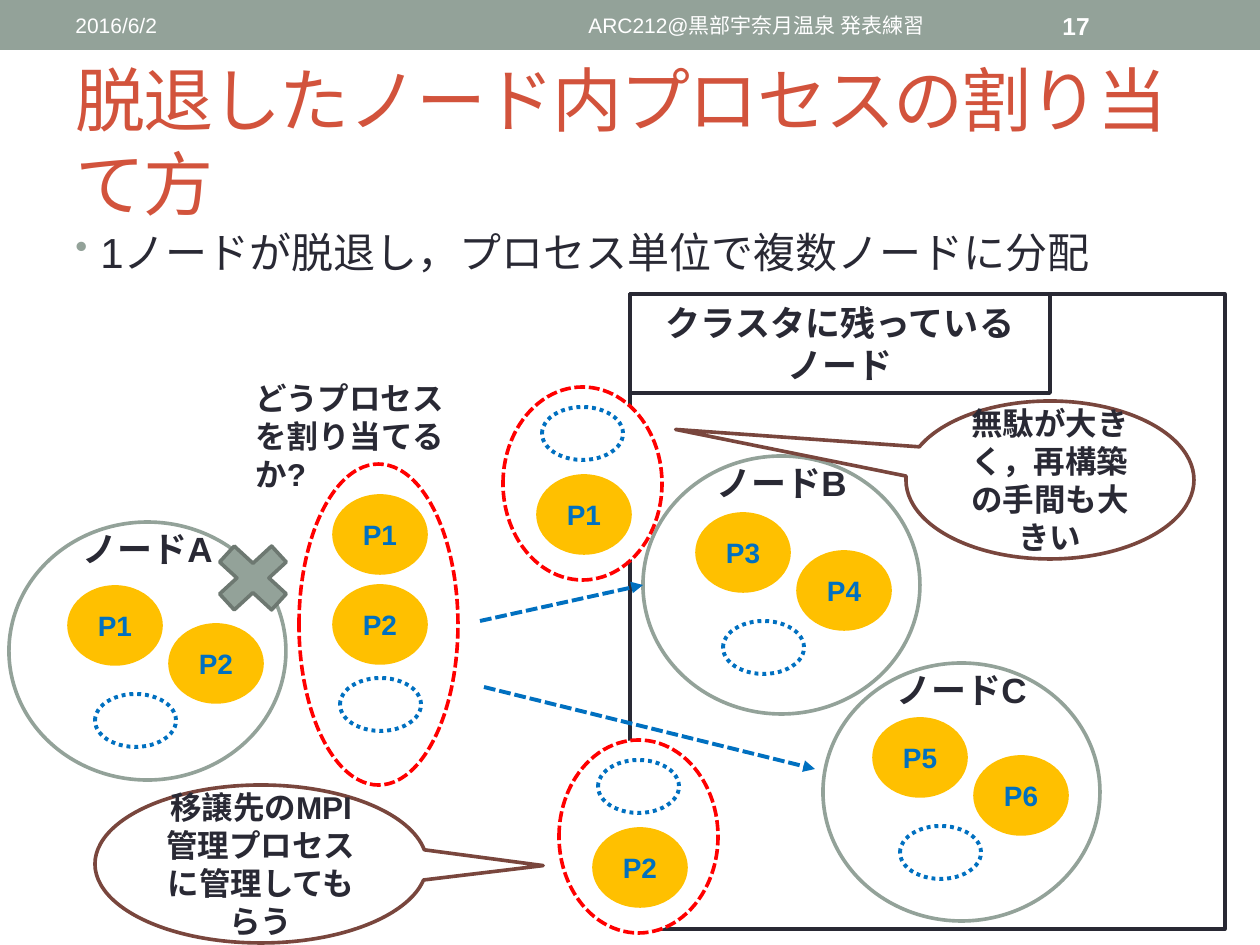
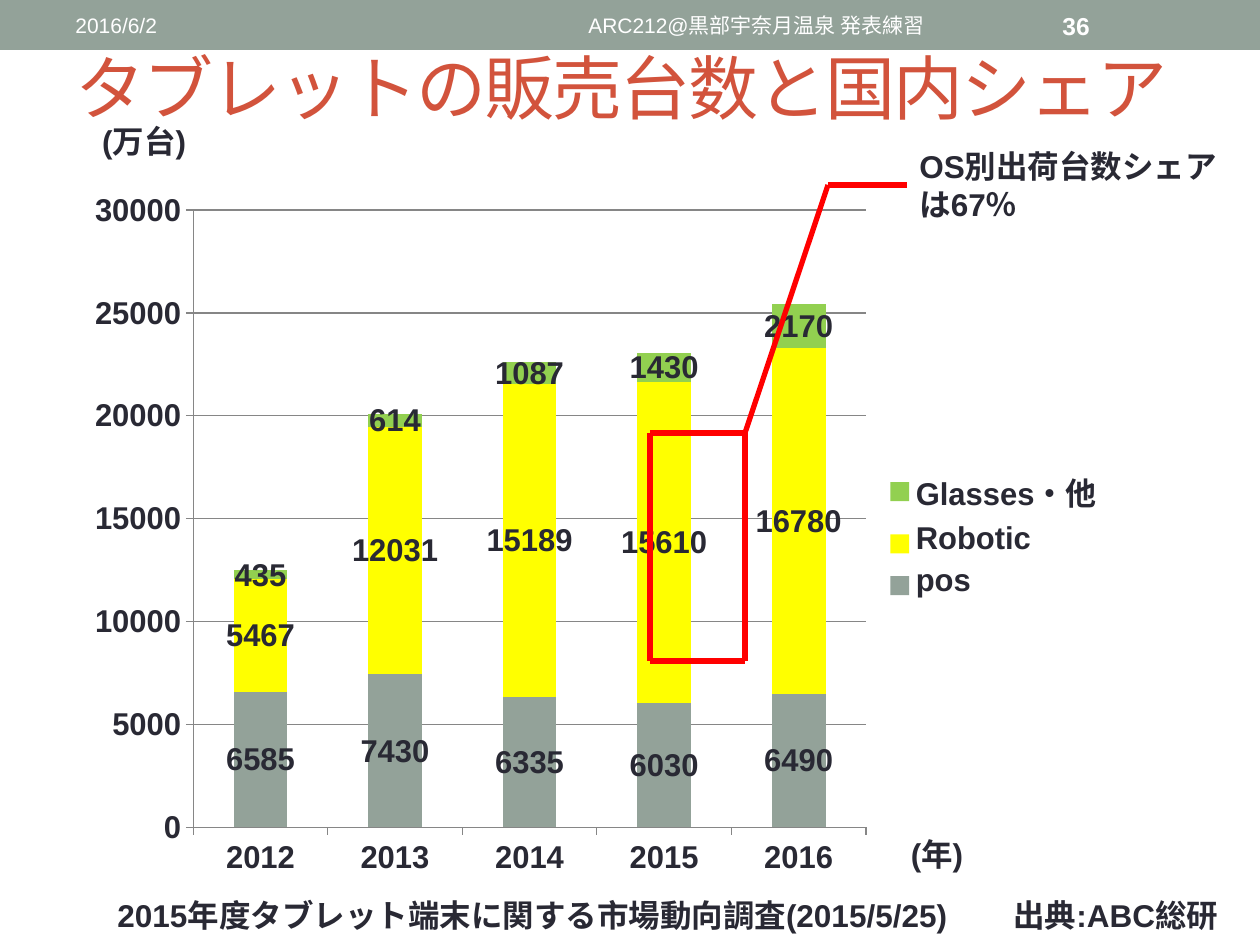
from dataclasses import dataclass
from lxml.etree import SubElement
from pptx import Presentation
from pptx.chart.data import CategoryChartData
from pptx.dml.color import RGBColor
from pptx.enum.chart import XL_CHART_TYPE as Kind, XL_LABEL_POSITION as Spot
from pptx.enum.chart import XL_LEGEND_POSITION as Side, XL_TICK_MARK as Tick
from pptx.enum.dml import MSO_LINE as Dash
from pptx.enum.shapes import MSO_CONNECTOR as Link, MSO_SHAPE as Form
from pptx.enum.text import MSO_ANCHOR as Anchor, PP_ALIGN as Align
from pptx.oxml.ns import qn
from pptx.util import Emu, Pt

SCALE = 914400 / 126
FONT = "Arial"
INK, SAGE, RUST, WHITE = "292934", "93A299", "D2533C", "FFFFFF"
BLUE, GOLD, RED, BROWN = "0070C0", "FFC000", "FF0000", "79463D"
MOSS, GREY, YELLOW, GREEN = "6D7871", "868686", "FFFF00", "92D050"
EDGE = 2.08


@dataclass
class Node:
    name: str
    x: int
    y: int
    dot: tuple[int, int]
    procs: tuple[str, str]


@dataclass
class Group:
    x: int
    y: int
    high: int
    procs: list[tuple[str, int]]
    slot: tuple[int, int]


@dataclass
class Series:
    name: str
    tint: str
    vals: list[int]


NODES = [
    Node("ノードA", 9, 522, (69, 587), ("P1", "P2")),
    Node("ノードB", 643, 456, (697, 514), ("P3", "P4")),
    Node("ノードC", 823, 663, (874, 719), ("P5", "P6")),
]
GROUPS = [
    Group(299, 464, 321, [("P1", 32), ("P2", 122)], (41, 214)),
    Group(503, 387, 193, [("P1", 89)], (39, 20)),
    Group(559, 740, 193, [("P2", 89)], (39, 20)),
]
YEARS = ["2012", "2013", "2014", "2015", "2016"]
SALES = [
    Series("pos", SAGE, [6585, 7430, 6335, 6030, 6490]),
    Series("Robotic", YELLOW, [5467, 12031, 15189, 15610, 16780]),
    Series("Glasses・他", GREEN, [435, 614, 1087, 1430, 2170]),
]


def px(n: float) -> Emu:
    return Emu(round(n * SCALE))


def tint(code: str) -> RGBColor:
    return RGBColor.from_string(code)


def style(font, size: float, code: str, bold: bool = False) -> None:
    font.name, font.size, font.bold = FONT, Pt(size), bold
    font.color.rgb = tint(code)


def write(shape, text: str, size: float, code: str, bold: bool, align):
    par = shape.text_frame.paragraphs[0]
    par.text, par.alignment = text, align
    style(par.font, size, code, bold)
    return par


def label(slide, box: tuple, text: str, size: float = 18, code: str = INK,
          bold: bool = True, align=Align.LEFT, anchor=Anchor.TOP):
    shape = slide.shapes.add_textbox(*map(px, box))
    shape.text_frame.word_wrap = True
    shape.text_frame.vertical_anchor = anchor
    return write(shape, text, size, code, bold, align)


def draw(slide, form, box: tuple, fill: str, line: str, width: float = EDGE, dash=None):
    shape = slide.shapes.add_shape(form, *map(px, box))
    shape.shadow.inherit = False
    shape.fill.solid()
    shape.fill.fore_color.rgb = tint(fill)
    shape.line.color.rgb = tint(line)
    shape.line.width = Pt(width)
    if dash:
        shape.line.dash_style = dash
    return shape


def link(slide, start: tuple, end: tuple, code: str, width: float, arrow: bool = False) -> None:
    line = slide.shapes.add_connector(Link.STRAIGHT, *map(px, start + end))
    line.line.color.rgb = tint(code)
    line.line.width = Pt(width)
    if arrow:
        line.line.dash_style = Dash.SQUARE_DOT
        SubElement(line.line._get_or_add_ln(), qn("a:tailEnd"), type="triangle")
    SubElement(line._element.spPr, qn("a:effectLst"))


def proc(slide, x: int, y: int, name: str) -> None:
    shape = draw(slide, Form.OVAL, (x, y, 92, 77), GOLD, GOLD)
    write(shape, name, 16, BLUE, True, Align.CENTER)


def slot(slide, x: int, y: int) -> None:
    draw(slide, Form.OVAL, (x, y, 81, 53), WHITE, BLUE, 2.25, Dash.ROUND_DOT)


def host(slide, node: Node) -> None:
    draw(slide, Form.OVAL, (node.x, node.y, 277, 258), WHITE, SAGE)
    label(slide, (node.x, node.y, 277, 53), node.name, 20,
          align=Align.CENTER, anchor=Anchor.MIDDLE)
    x, y = node.dot
    for i, name in enumerate(node.procs):
        proc(slide, x + 101 * i, y + 38 * i, name)
    slot(slide, x + 26, y + 107)


def ring(slide, group: Group) -> None:
    draw(slide, Form.OVAL, (group.x, group.y, 159, group.high), WHITE, RED, dash=Dash.SQUARE_DOT)
    for name, y in group.procs:
        proc(slide, group.x + 35, group.y + y, name)
    slot(slide, group.x + group.slot[0], group.y + group.slot[1])


def bubble(slide, box: tuple, tip: tuple, text: str) -> None:
    shape = draw(slide, Form.OVAL_CALLOUT, box, WHITE, BROWN)
    for i, val in enumerate(tip):
        shape.adjustments[i] = val
    write(shape, text, 18, INK, True, Align.CENTER)


def begin(deck, page: str, title: str, top: int):
    slide = deck.slides.add_slide(deck.slide_layouts[6])
    band = draw(slide, Form.RECTANGLE, (0, 0, 1260, 50), SAGE, SAGE)
    band.line.fill.background()
    mid = Anchor.MIDDLE
    label(slide, (63, 3, 399, 45), "2016/6/2", 12, WHITE, False, anchor=mid)
    label(slide, (473, 3, 567, 45), "ARC212@黒部宇奈月温泉 発表練習", 12, WHITE, False,
          Align.CENTER, mid)
    label(slide, (1050, 3, 147, 45), page, 14, WHITE, anchor=mid)
    par = label(slide, (63, top, 1134, 136), title, 40, RUST, False, anchor=mid)
    par.runs[0].font._element.set("spc", "-100")
    return slide


def bullet(par) -> None:
    props = par._p.get_or_add_pPr()
    props.set("marL", str(px(25)))
    props.set("indent", str(-px(25)))
    first = props.find(qn("a:defRPr"))
    hue = SubElement(props, qn("a:buClr"))
    SubElement(hue, qn("a:srgbClr"), val=SAGE)
    size = SubElement(props, qn("a:buSzPct"), val="85000")
    mark = SubElement(props, qn("a:buChar"), char="•")
    if first is not None:
        for item in (hue, size, mark):
            first.addprevious(item)


def place(chart, box: tuple) -> None:
    area = chart._chartSpace.chart.plotArea
    old = area.find(qn("c:layout"))
    if old is not None:
        area.remove(old)
    outer = SubElement(area, qn("c:layout"))
    area.insert(0, outer)
    inner = SubElement(outer, qn("c:manualLayout"))
    SubElement(inner, qn("c:layoutTarget"), val="inner")
    for key in ("xMode", "yMode"):
        SubElement(inner, qn(f"c:{key}"), val="edge")
    for key, val in zip("xywh", box):
        SubElement(inner, qn(f"c:{key}"), val=str(val))


def graph(slide) -> None:
    data = CategoryChartData()
    data.categories = YEARS
    for item in SALES:
        data.add_series(item.name, item.vals)
    frame = slide.shapes.add_chart(Kind.COLUMN_STACKED, *map(px, (95, 166, 1022, 735)), data)
    chart = frame.chart
    style(chart.font, 18, INK, True)
    chart.has_title = False
    chart.has_legend = True
    chart.legend.position = Side.RIGHT
    chart.legend.include_in_layout = False
    style(chart.legend.font, 18, INK, True)
    for axis in (chart.category_axis, chart.value_axis):
        axis.major_tick_mark = Tick.OUTSIDE
        axis.format.line.color.rgb = tint(GREY)
        style(axis.tick_labels.font, 18, INK, True)
    axis = chart.value_axis
    axis.minimum_scale, axis.maximum_scale, axis.major_unit = 0, 30000, 5000
    axis.has_major_gridlines = True
    axis.major_gridlines.format.line.color.rgb = tint(GREY)
    plot = chart.plots[0]
    plot.gap_width, plot.overlap, plot.vary_by_categories = 150, 100, False
    for item, bars in zip(SALES, plot.series):
        bars.format.fill.solid()
        bars.format.fill.fore_color.rgb = tint(item.tint)
        marks = bars.data_labels
        marks.show_value, marks.position = True, Spot.CENTER
        style(marks.font, 18, INK, True)
    place(chart, (0.08, 0.06, 0.67, 0.84))


def spread(deck) -> None:
    slide = begin(deck, "17", "脱退したノード内プロセスの割り当て方", 73)
    bullet(label(slide, (63, 220, 1134, 86), "1ノードが脱退し，プロセス単位で複数ノードに分配",
                 24, bold=False))
    draw(slide, Form.RECTANGLE, (630, 294, 595, 635), WHITE, INK)
    for node in NODES:
        host(slide, node)
    draw(slide, Form.MATH_MULTIPLY, (203, 532, 100, 92), SAGE, MOSS)
    head = draw(slide, Form.RECTANGLE, (630, 294, 420, 99), WHITE, INK)
    write(head, "クラスタに残っているノード", 20, INK, True, Align.CENTER)
    for group in GROUPS:
        ring(slide, group)
    label(slide, (243, 373, 237, 89), "どうプロセスを割り当てるか?")
    link(slide, (480, 621), (643, 585), BLUE, 2.25, True)
    link(slide, (484, 687), (815, 769), BLUE, 2.25, True)
    bubble(slide, (906, 401, 288, 158), (-1.3, -0.32), "無駄が大きく，再構築の手間も大きい")
    bubble(slide, (95, 785, 332, 158), (0.85, 0.01), "移譲先のMPI管理プロセスに管理してもらう")


def market(deck) -> None:
    slide = begin(deck, "36", "タブレットの販売台数と国内シェア", 19)
    graph(slide)
    label(slide, (35, 116, 218, 50), "(万台)", align=Align.CENTER)
    label(slide, (828, 829, 218, 50), "(年)", align=Align.CENTER)
    label(slide, (105, 890, 890, 50), "2015年度タブレット端末に関する市場動向調査(2015/5/25)")
    label(slide, (1001, 890, 245, 50), "出典:ABC総研")
    label(slide, (907, 141, 338, 89), "OS別出荷台数シェアは67％")
    left, right, top, base = 650, 745, 433, 661
    bend = (828, 185)
    for start, end in [
        ((left, top), (left, base)), ((right, top), (right, base)),
        ((left, top), (right, top)), ((left, base), (right, base)),
        ((right, top), bend), (bend, (907, 185)),
    ]:
        link(slide, start, end, RED, 3)


def main() -> None:
    deck = Presentation()
    deck.slide_width, deck.slide_height = px(1260), px(945)
    spread(deck)
    market(deck)
    deck.save("out.pptx")


main()
